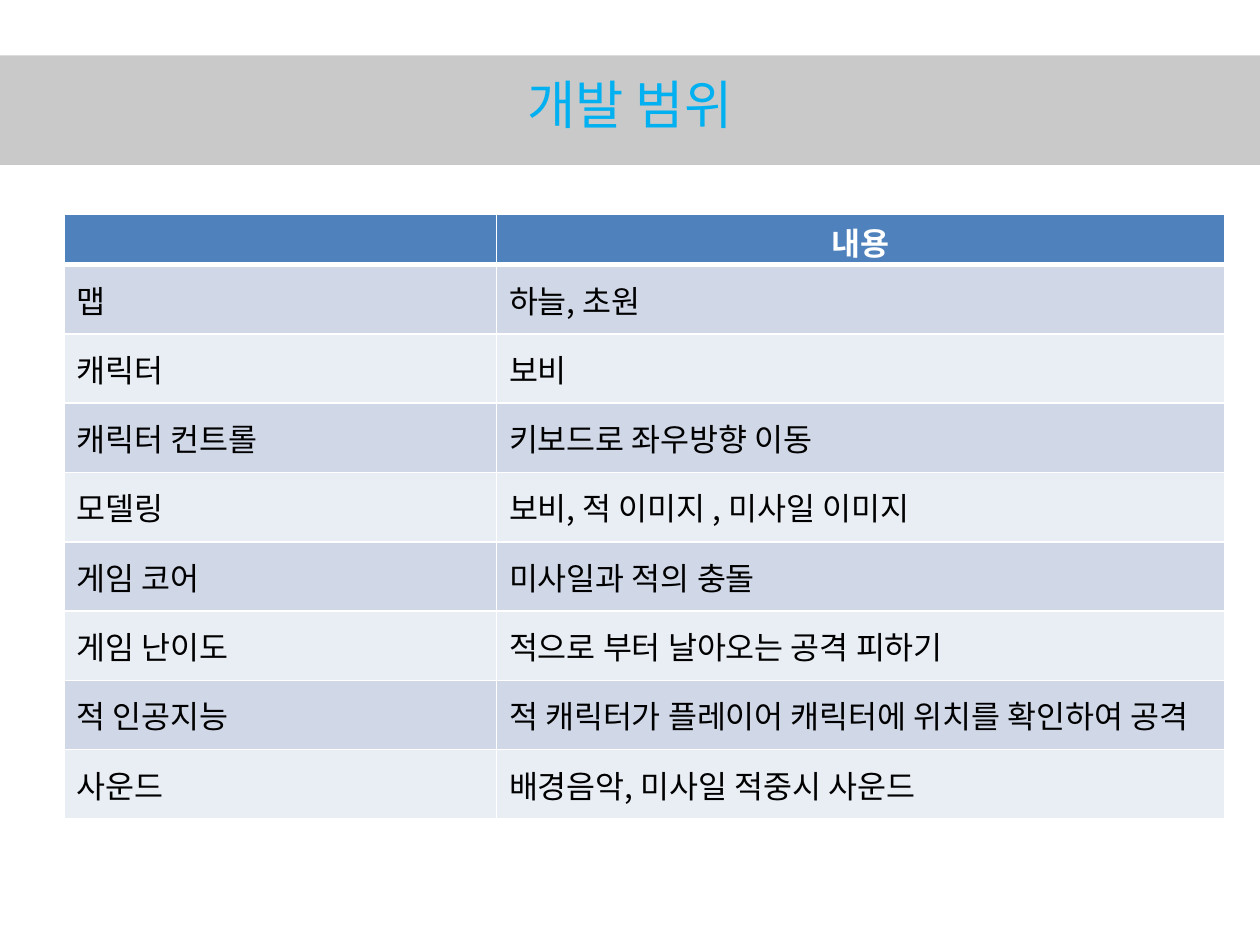
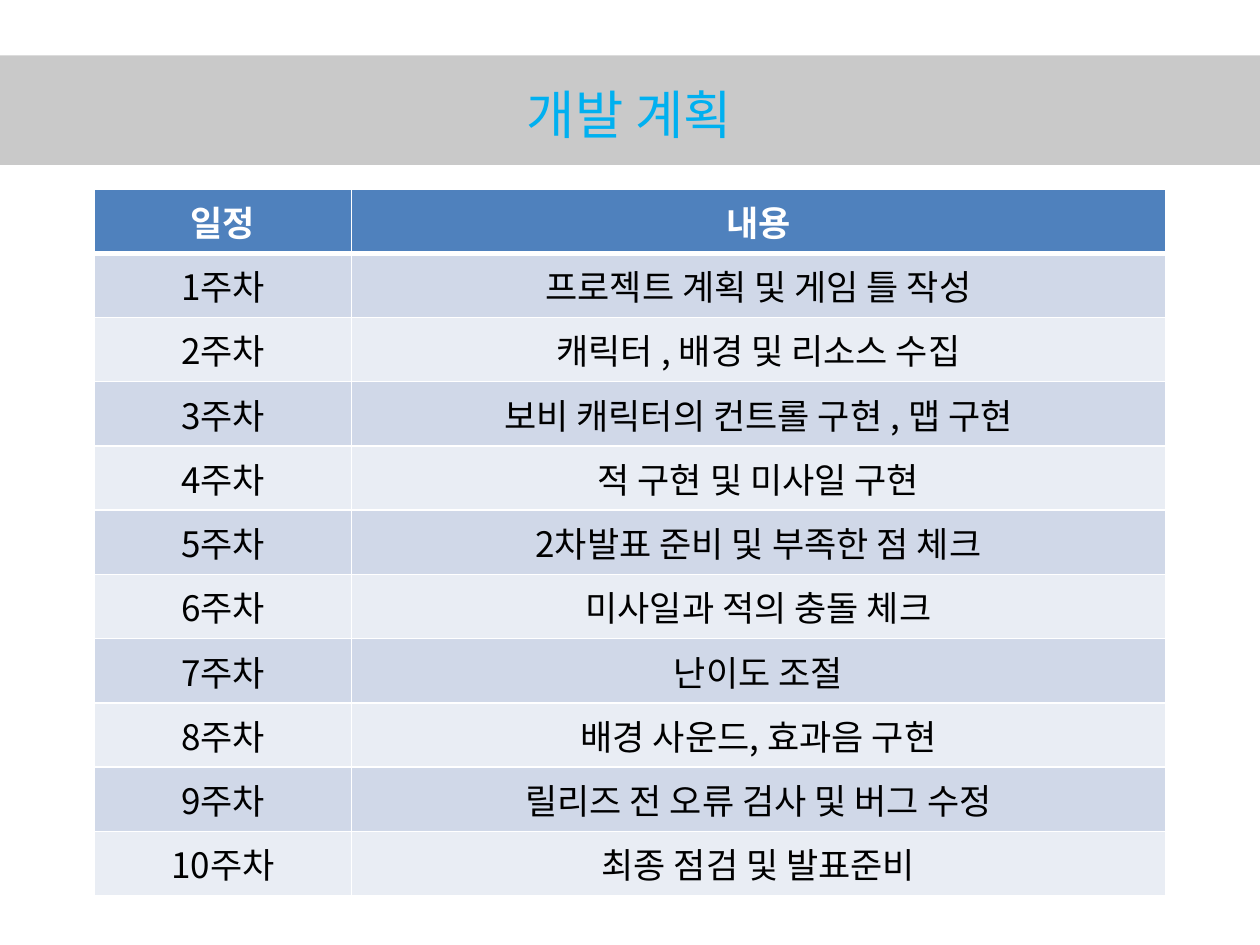
from dataclasses import dataclass

from lxml.etree import SubElement
from pptx import Presentation
from pptx.dml.color import RGBColor
from pptx.enum.shapes import MSO_SHAPE
from pptx.enum.text import MSO_ANCHOR, MSO_AUTO_SIZE, PP_ALIGN
from pptx.oxml.ns import qn
from pptx.util import Inches, Pt

# Shared look
FONT = "Noto Sans CJK KR"
TITLE_BLUE = "00B0F0"
BAND_GRAY = "595959"
BAND_OPACITY = 32
HEADER_BLUE = "4F81BD"
ROW_FILLS = ("D0D8E8", "E9EDF4")
WHITE, BLACK = "FFFFFF", "000000"
THIN, THICK = 1, 3


@dataclass
class TableSlide:
    title: str
    title_box: tuple[float, float, float, float]
    table_corner: tuple[float, float]
    column_widths: tuple[float, ...]
    header_height: float
    row_height: float
    text_size: int
    body_align: PP_ALIGN
    rows: list[tuple[str, ...]]
    header_margins: tuple[float, float] = (0.05, 0.05)


def color(value: str) -> RGBColor:
    return RGBColor.from_string(value)


def write_text(frame, text: str, *, size: int, ink: str, bold: bool = False,
               align: PP_ALIGN = PP_ALIGN.CENTER) -> None:
    """Write one formatted paragraph, in the same font for Latin and Hangul."""
    para = frame.paragraphs[0]
    para.alignment = align
    if not text:
        return
    span = para.add_run()
    span.text = text
    span.font.size = Pt(size)
    span.font.bold = bold
    span.font.color.rgb = color(ink)
    span.font.name = FONT
    SubElement(span.font._element, qn("a:ea"), typeface=FONT)


def add_title_band(slide, content: TableSlide) -> None:
    # Band sits behind the title
    band = slide.shapes.add_shape(MSO_SHAPE.RECTANGLE, Inches(0), Inches(0.44),
                                  Inches(10), Inches(0.87))
    band.shadow.inherit = False
    band.line.fill.background()
    band.fill.solid()
    band.fill.fore_color.rgb = color(BAND_GRAY)
    paint = band.element.spPr.find(qn("a:solidFill"))[0]
    SubElement(paint, qn("a:alpha"), val=str(BAND_OPACITY * 1000))
    title = slide.shapes.title
    title.element.addprevious(band.element)

    # Title
    title.left, title.top, title.width, title.height = map(Inches, content.title_box)
    frame = title.text_frame
    frame.word_wrap = True
    frame.auto_size = MSO_AUTO_SIZE.NONE
    frame.vertical_anchor = MSO_ANCHOR.MIDDLE
    write_text(frame, content.title, size=30, ink=TITLE_BLUE)


def add_borders(cell, top: int, bottom: int) -> None:
    properties = cell._tc.get_or_add_tcPr()
    for side, width in (("L", THIN), ("R", THIN), ("T", top), ("B", bottom)):
        line = SubElement(properties, qn(f"a:ln{side}"), w=str(Pt(width)))
        SubElement(SubElement(line, qn("a:solidFill")), qn("a:srgbClr"), val=WHITE)


def add_content_table(slide, content: TableSlide) -> None:
    left, top = content.table_corner
    row_count = len(content.rows)
    height = content.header_height + content.row_height * (row_count - 1)
    table = slide.shapes.add_table(
        row_count, len(content.column_widths), Inches(left), Inches(top),
        Inches(sum(content.column_widths)), Inches(height)).table
    for column, width in zip(table.columns, content.column_widths):
        column.width = Inches(width)

    for row_index, texts in enumerate(content.rows):
        is_header = row_index == 0
        table.rows[row_index].height = Inches(
            content.header_height if is_header else content.row_height)
        for column_index, text in enumerate(texts):
            cell = table.cell(row_index, column_index)
            add_borders(cell, top=THICK if row_index == 1 else THIN,
                        bottom=THICK if is_header else THIN)
            cell.fill.solid()
            cell.fill.fore_color.rgb = color(
                HEADER_BLUE if is_header else ROW_FILLS[(row_index - 1) % 2])
            cell.vertical_anchor = MSO_ANCHOR.MIDDLE
            if is_header:
                cell.margin_top, cell.margin_bottom = map(Inches, content.header_margins)
            write_text(cell.text_frame, text, size=content.text_size,
                       ink=WHITE if is_header else BLACK, bold=is_header,
                       align=PP_ALIGN.CENTER if is_header else content.body_align)


# Content
SCOPE = [
    ("", "내용"),
    ("맵", "하늘, 초원"),
    ("캐릭터", "보비"),
    ("캐릭터 컨트롤", "키보드로 좌우방향 이동"),
    ("모델링", "보비, 적 이미지 , 미사일 이미지"),
    ("게임 코어", "미사일과 적의 충돌"),
    ("게임 난이도", "적으로 부터 날아오는 공격 피하기"),
    ("적 인공지능", "적 캐릭터가 플레이어 캐릭터에 위치를 확인하여 공격"),
    ("사운드", "배경음악, 미사일 적중시 사운드"),
]
WEEKLY_TASKS = [
    "프로젝트 계획 및 게임 틀 작성",
    "캐릭터 , 배경 및 리소스 수집",
    "보비 캐릭터의 컨트롤 구현 , 맵 구현",
    "적 구현 및 미사일 구현",
    "2차발표 준비 및 부족한 점 체크",
    "미사일과 적의 충돌 체크",
    "난이도 조절",
    "배경 사운드, 효과음 구현",
    "릴리즈 전 오류 검사 및 버그 수정",
    "최종 점검 및 발표준비",
]
SCHEDULE = [("일정", "내용")] + [
    (f"{week}주차", task) for week, task in enumerate(WEEKLY_TASKS, start=1)]

SLIDES = [
    TableSlide("개발 범위", (3.66, 0.52, 2.68, 0.61), (0.51, 1.7), (3.43, 5.78),
               0.4, 0.55, 18, PP_ALIGN.LEFT, SCOPE, header_margins=(0.03, 0)),
    TableSlide("개발 계획", (1.61, 0.6, 6.77, 0.61), (0.75, 1.5), (2.04, 6.46),
               0.51, 0.51, 20, PP_ALIGN.CENTER, SCHEDULE),
]


def main() -> None:
    deck = Presentation()
    deck.slide_width, deck.slide_height = Inches(10), Inches(7.5)
    title_only = deck.slide_layouts[5]
    for content in SLIDES:
        slide = deck.slides.add_slide(title_only)
        add_title_band(slide, content)
        add_content_table(slide, content)
    deck.save("out.pptx")


if __name__ == "__main__":
    main()
